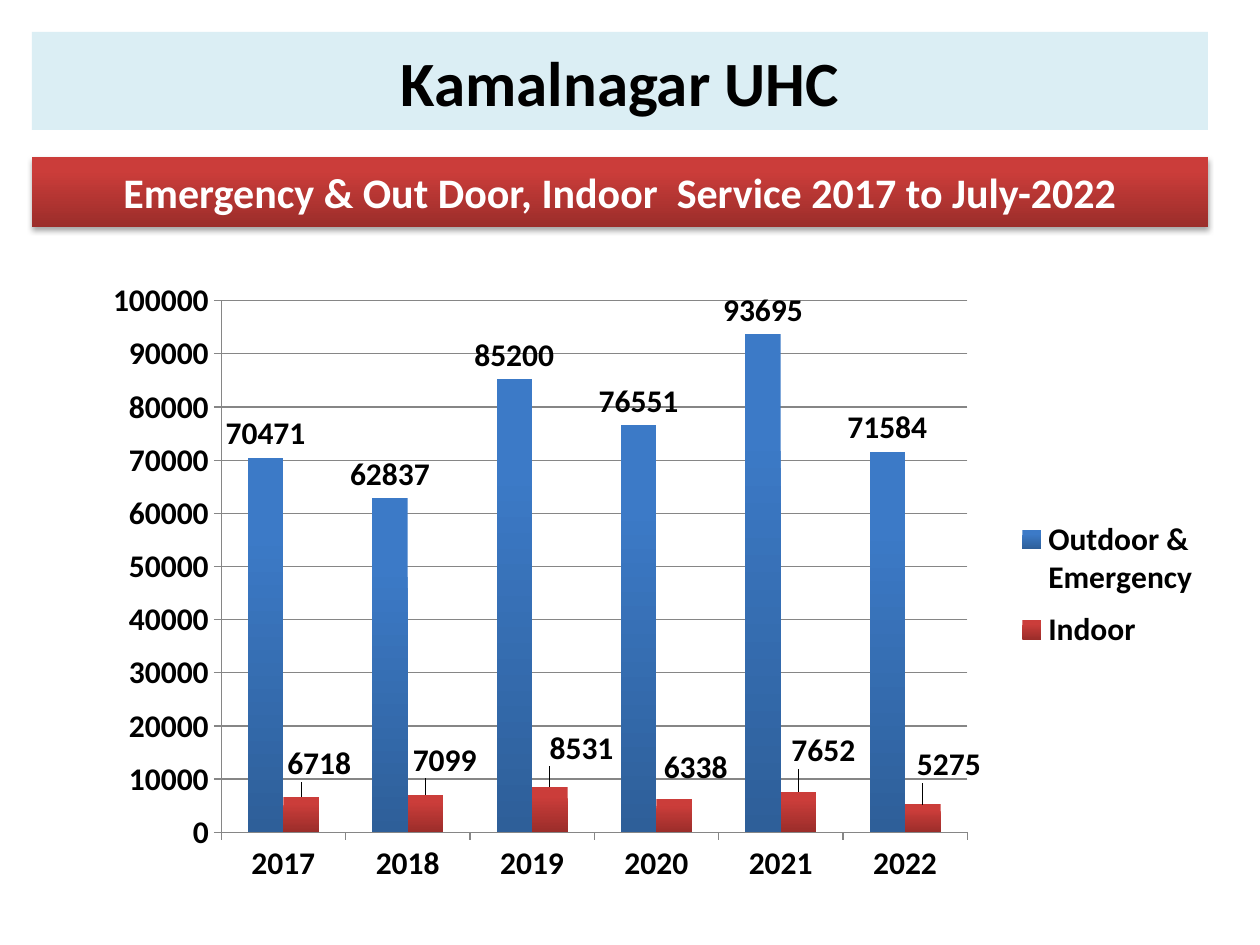
"""Build the Kamalnagar UHC slide of outdoor, emergency and indoor service counts."""
from lxml.etree import SubElement
from pptx import Presentation
from pptx.chart.data import CategoryChartData
from pptx.dml.color import RGBColor
from pptx.enum.chart import XL_CHART_TYPE as ChartType
from pptx.enum.chart import XL_LABEL_POSITION as LabelPosition
from pptx.enum.chart import XL_LEGEND_POSITION as LegendPosition
from pptx.enum.chart import XL_TICK_MARK as TickMark
from pptx.enum.shapes import MSO_SHAPE as Shape
from pptx.enum.text import MSO_ANCHOR as Anchor
from pptx.enum.text import MSO_AUTO_SIZE as AutoSize
from pptx.enum.text import PP_ALIGN as Align
from pptx.oxml import parse_xml
from pptx.oxml.ns import nsdecls, qn
from pptx.util import Inches, Pt

BLACK = RGBColor(0x00, 0x00, 0x00)
WHITE = RGBColor(0xFF, 0xFF, 0xFF)
PALE_BLUE = RGBColor(0xDB, 0xEE, 0xF4)
GRID_GREY = RGBColor(0x86, 0x86, 0x86)
BLUES = RGBColor(0x3C, 0x7A, 0xC7), RGBColor(0x2E, 0x5F, 0x99)
REDS = RGBColor(0xCB, 0x3D, 0x3A), RGBColor(0x9B, 0x2D, 0x2A)

FONT = "Calibri"
HEADING = "Kamalnagar UHC"
TITLE = "Emergency & Out Door, Indoor  Service 2017 to July-2022"
YEARS = ["2017", "2018", "2019", "2020", "2021", "2022"]
SERIES = [
    ("Outdoor & Emergency", [70471, 62837, 85200, 76551, 93695, 71584], BLUES),
    ("Indoor", [6718, 7099, 8531, 6338, 7652, 5275], REDS),
]
INDOOR_LABEL_SHIFTS = [(18, -9), (19, -11), (32, -15), (22, -7), (25, -17), (26, -16)]

PX = Inches(1) / 126
HEADING_BOX = (32, 32, 1176, 98)
TITLE_BOX = (32, 157, 1176, 70)
CHART_BOX = (84, 273, 1134, 630)
PLOT_BOX = (137, 28, 746, 532)
LEGEND_BOX = (926, 234, 194, 156)

SHADOW = (
    f'<a:effectLst {nsdecls("a")}><a:outerShdw blurRad="40000" dist="23000" dir="5400000" '
    'rotWithShape="0"><a:srgbClr val="000000"><a:alpha val="35000"/></a:srgbClr>'
    "</a:outerShdw></a:effectLst>"
)
NO_LEADER_LINES = (
    f'<c:extLst {nsdecls("c")}><c:ext uri="{{CE6537A1-D6FC-4f65-9D91-7224C49458BB}}" '
    'xmlns:c15="http://schemas.microsoft.com/office/drawing/2012/chart">'
    '<c15:showLeaderLines val="0"/></c:ext></c:extLst>'
)


def to_emu(box):
    return [round(length * PX) for length in box]


def style_font(font, size, color):
    font.name, font.size, font.bold = FONT, Pt(size), True
    font.color.rgb = color


def write(shape, text, size, color):
    frame = shape.text_frame
    frame.text = text
    frame.word_wrap = True
    frame.auto_size = AutoSize.NONE
    frame.vertical_anchor = Anchor.MIDDLE
    para = frame.paragraphs[0]
    para.alignment = Align.CENTER
    style_font(para.font, size, color)


def shade(fill, colors):
    fill.gradient()
    fill.gradient_angle = 270
    for stop, color, position in zip(fill.gradient_stops, colors, (0.2, 1)):
        stop.color.rgb = color
        stop.position = position


def set_layout(element, index, lengths, **modes):
    for old in element.findall(qn("c:layout")):
        element.remove(old)
    layout = parse_xml(f'<c:layout {nsdecls("c")}><c:manualLayout/></c:layout>')
    fractions = {name: round(length / whole, 3)
                 for name, length, whole in zip("xywh", lengths, CHART_BOX[2:] * 2)}
    for name, value in (modes | fractions).items():
        SubElement(layout[0], qn(f"c:{name}"), val=str(value))
    element.insert(index, layout)


def shift_labels(series, shifts):
    for index in range(len(shifts)):
        label = series.points[index].data_label
        style_font(label.font, 18, BLACK)
        label.position = LabelPosition.OUTSIDE_END
    for element, shift in zip(series._element.iter(qn("c:dLbl")), shifts):
        set_layout(element, 1, shift)
    series.data_labels._element.append(parse_xml(NO_LEADER_LINES))


def add_service_chart(slide):
    data = CategoryChartData()
    data.categories = YEARS
    for name, values, _ in SERIES:
        data.add_series(name, values)
    chart = slide.shapes.add_chart(
        ChartType.COLUMN_CLUSTERED, *to_emu(CHART_BOX), data).chart
    style_font(chart.font, 18, BLACK)
    chart.has_title = False
    chart.has_legend = True
    legend = chart.legend
    legend.position = LegendPosition.RIGHT
    legend.include_in_layout = False
    set_layout(legend._element, 1, LEGEND_BOX, xMode="edge", yMode="edge")
    set_layout(chart._chartSpace.chart.plotArea, 0, PLOT_BOX,
               layoutTarget="inner", xMode="edge", yMode="edge")

    plot = chart.plots[0]
    plot.gap_width = 150
    plot.vary_by_categories = False
    for series, (_, _, colors) in zip(plot.series, SERIES):
        shade(series.format.fill, colors)
        labels = series.data_labels
        labels.show_value = True
        labels.position = LabelPosition.OUTSIDE_END
    shift_labels(plot.series[1], INDOOR_LABEL_SHIFTS)

    values = chart.value_axis
    values.minimum_scale, values.maximum_scale, values.major_unit = 0, 100000, 10000
    values.has_major_gridlines = True
    for axis in (chart.category_axis, values):
        axis.major_tick_mark = TickMark.OUTSIDE
    for item in (chart.category_axis, values, values.major_gridlines):
        item.format.line.color.rgb = GRID_GREY
        item.format.line.width = Pt(0.75)


def main():
    deck = Presentation()
    deck.slide_width, deck.slide_height = Inches(10), Inches(7.5)
    slide = deck.slides.add_slide(deck.slide_layouts[5])

    title = slide.shapes.title
    title.left, title.top, title.width, title.height = to_emu(TITLE_BOX)
    write(title, TITLE, 24, WHITE)
    shade(title.fill, REDS)
    title._element.spPr.append(parse_xml(SHADOW))

    heading = slide.shapes.add_shape(Shape.RECTANGLE, *to_emu(HEADING_BOX))
    heading.shadow.inherit = False
    heading.fill.solid()
    heading.fill.fore_color.rgb = PALE_BLUE
    heading.line.fill.background()
    write(heading, HEADING, 36, BLACK)

    add_service_chart(slide)
    deck.save("out.pptx")


if __name__ == "__main__":
    main()
